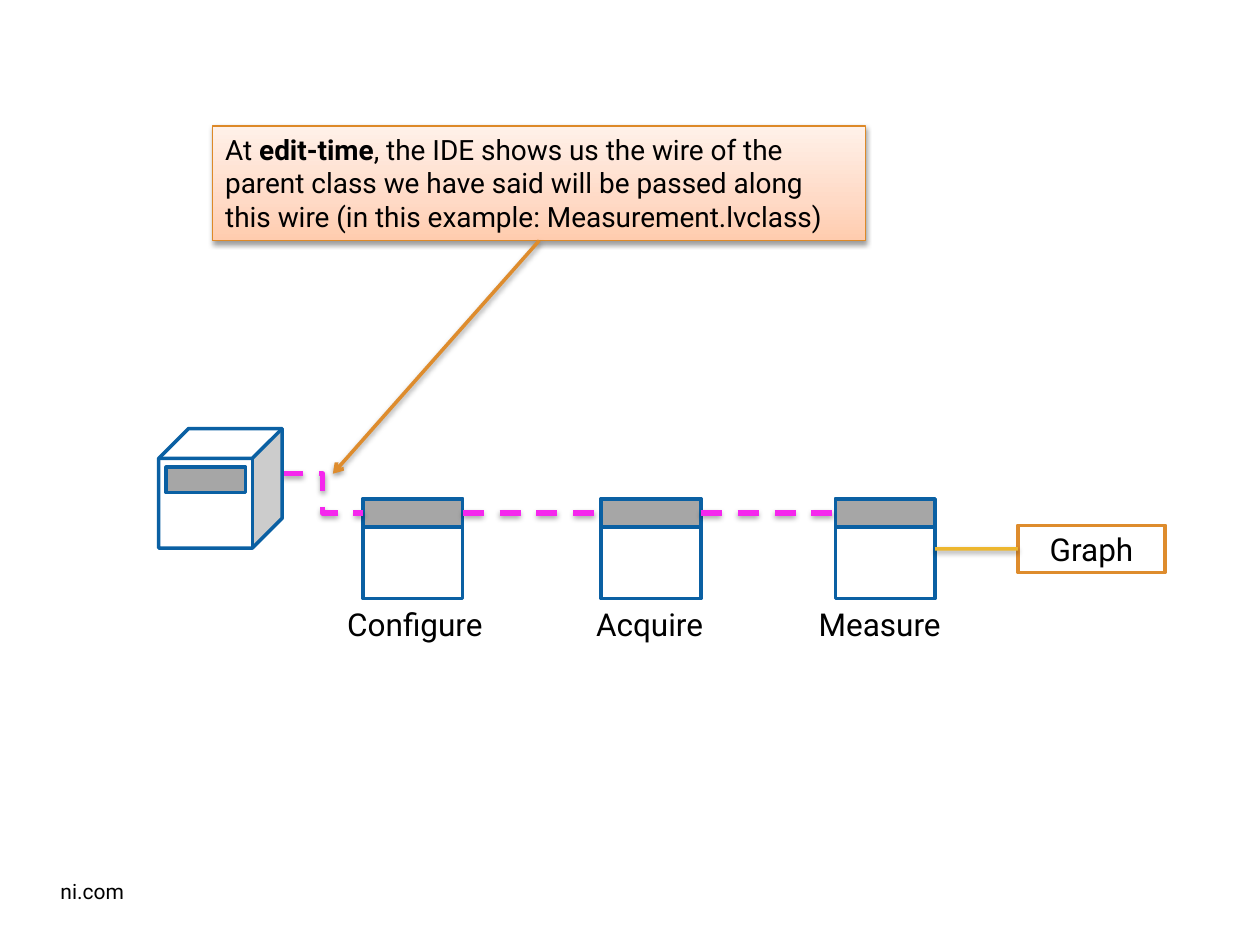
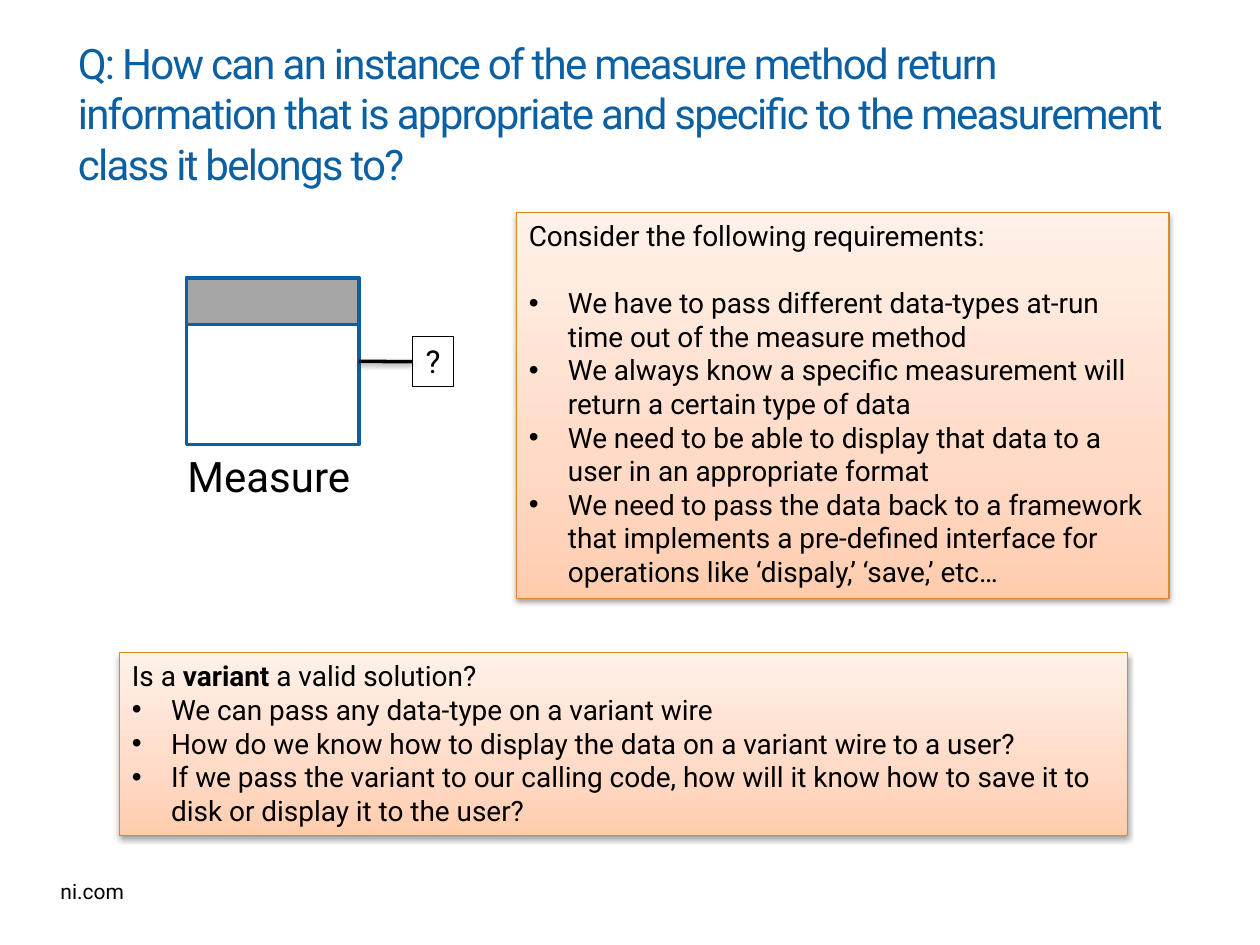
from pptx import Presentation
from pptx.dml.color import RGBColor
from pptx.enum.dml import MSO_LINE
from pptx.enum.shapes import MSO_CONNECTOR, MSO_SHAPE
from pptx.enum.text import MSO_ANCHOR, PP_ALIGN
from pptx.oxml import parse_xml
from pptx.oxml.ns import nsdecls, qn
from pptx.util import Cm, Pt

RECT, CUBE = MSO_SHAPE.RECTANGLE, MSO_SHAPE.CUBE
STRAIGHT, ELBOW = MSO_CONNECTOR.STRAIGHT, MSO_CONNECTOR.ELBOW
LEFT, CENTER = PP_ALIGN.LEFT, PP_ALIGN.CENTER
TOP, MIDDLE = MSO_ANCHOR.TOP, MSO_ANCHOR.MIDDLE
DASH = MSO_LINE.DASH
SIDE_BOTTOM, SIDE_LEFT, SIDE_RIGHT = 2, 1, 3

FONT = "Roboto"
BLACK, WHITE, GRAY = "000000", "FFFFFF", "A6A6A6"
BLUE, ORANGE, AMBER = "0A60A3", "DE8C2D", "DD8928"
PINK, GOLD = "F527ED", "EDB72E"
PEACH = ((0, "FFCCAE"), (35, "FFDAC6"), (100, "FFF1E9"))
HEAD_SHARE = 0.28


def rgb(code):
    return RGBColor.from_string(code)


def element(tag, inner="", **attrs):
    pairs = " ".join(f'{key}="{value}"' for key, value in attrs.items())
    return parse_xml(f'<a:{tag} {nsdecls("a")} {pairs}>{inner}</a:{tag}>')


def shade(shape):
    """Give a shape or connector the soft shadow used on both slides."""
    shape._element.spPr.append(element(
        "effectLst",
        '<a:outerShdw blurRad="40000" dist="20000" dir="5400000" rotWithShape="0">'
        f'<a:srgbClr val="{BLACK}"><a:alpha val="38000"/></a:srgbClr></a:outerShdw>'))


def write(para, text, size, color=BLACK, align=LEFT, spacing=0):
    """Fill a paragraph; parts between asterisks are bold."""
    para.alignment = align
    for i, part in enumerate(text.split("*")):
        run = para.add_run()
        run.text = part
        values = {"name": FONT, "size": Pt(size), "bold": i % 2 == 1}
        for key, value in values.items():
            setattr(run.font, key, value)
        run.font.color.rgb = rgb(color)
        if spacing:
            run._r.get_or_add_rPr().set("spc", str(spacing))


def frame(shape, wrap=True, anchor=TOP):
    for key, value in {"word_wrap": wrap, "vertical_anchor": anchor}.items():
        setattr(shape.text_frame, key, value)
    return shape.text_frame


def label(shapes, box, text, size, wrap=False, anchor=TOP, **style):
    area = shapes.add_textbox(*map(Cm, box))
    write(frame(area, wrap, anchor).paragraphs[0], text, size, **style)


def block(shapes, box, line, fill=None, width=2, kind=RECT):
    shape = shapes.add_shape(kind, *map(Cm, box))
    shape.shadow.inherit = False
    if fill:
        shape.fill.solid()
        shape.fill.fore_color.rgb = rgb(fill)
    else:
        shape.fill.background()
    shape.line.color.rgb = rgb(line)
    shape.line.width = Pt(width)
    return shape


def wire(slide, color, start=(0, 0), end=(0, 0), source=None, target=None,
         width=2, dash=None, kind=STRAIGHT, arrow=False):
    """Draw a line; source and target are (shape, side) pairs to join."""
    line = slide.shapes.add_connector(kind, *map(Cm, start + end))
    if source:
        line.begin_connect(*source)
    if target:
        line.end_connect(*target)
    line.line.color.rgb = rgb(color)
    line.line.width = Pt(width)
    if dash:
        line.line.dash_style = dash
    if arrow:
        line.line._get_or_add_ln().append(element("tailEnd", type="arrow"))
    shade(line)


def callout(slide, box, lead, points=(), gap=0):
    """Place a peach note with a lead line and bullet points."""
    note = block(slide.shapes, box, AMBER, WHITE, 0.75)
    note.fill.gradient()
    note.fill.gradient_angle = 90
    props = note._element.spPr
    stops = props.find(".//" + qn("a:gsLst"))
    for stop in list(stops):
        stops.remove(stop)
    for place, color in PEACH:
        stops.append(element("gs", f'<a:srgbClr val="{color}"/>', pos=place * 1000))
    props.remove(props.find(qn("a:effectLst")))
    shade(note)

    body = frame(note)
    write(body.paragraphs[0], lead, 16)
    body.paragraphs[0].space_after = Pt(gap)
    for point in points:
        para = body.add_paragraph()
        props = para._p.get_or_add_pPr()
        props.set("marL", str(Cm(0.79)))
        props.set("indent", str(-Cm(0.79)))
        props.append(element("buFont", typeface="Arial"))
        props.append(element("buChar", char="•"))
        write(para, point, 16)
    return note


def method(slide, box, name, size, span, shift):
    """Draw a method icon with its name below; return body and header."""
    left, top, width, height = box
    shapes = slide.shapes.add_group_shape().shapes
    body = block(shapes, box, BLUE, WHITE)
    head = block(shapes, (left, top, width, height * HEAD_SHARE), BLUE, GRAY)
    side = left + (width - span) / 2 + shift
    label(shapes, (side, top + height, span, size * 0.055), name, size, align=CENTER)
    return body, head


def cube(slide, box):
    left, top, width, height = box
    shapes = slide.shapes.add_group_shape().shapes
    block(shapes, box, BLUE, WHITE, kind=CUBE)
    block(shapes, (left + 0.15, top + 0.78, 1.6, 0.51), BLUE, GRAY)


def page(deck):
    slide = deck.slides.add_slide(deck.slide_layouts[6])
    label(slide.shapes, (0.97, 17.58, 1.8, 0.76), "ni.com", 12)
    return slide


def flow_slide(deck):
    slide = page(deck)
    steps = (("Configure", 7.32, 3.3, 0.04), ("Acquire", 12.12, 2.67, -0.03),
             ("Measure", 16.84, 3.05, -0.11))
    icons = [method(slide, (left, 10.06, 2.01, 2.01), name, 18, span, shift)
             for name, left, span, shift in steps]
    heads = [head for body, head in icons]
    for first, second in zip(heads, heads[1:]):
        wire(slide, PINK, source=(first, SIDE_RIGHT), target=(second, SIDE_LEFT),
             width=3, dash=DASH)
    wire(slide, PINK, (5.69, 9.55), (7.32, 10.34), width=3, dash=DASH, kind=ELBOW)

    graph = block(slide.shapes, (20.52, 10.59, 2.97, 0.95), ORANGE, WHITE)
    write(frame(graph, anchor=MIDDLE).paragraphs[0], "Graph", 18, align=CENTER)
    wire(slide, GOLD, source=(icons[-1][0], SIDE_RIGHT), target=(graph, SIDE_LEFT))
    cube(slide, (3.2, 8.64, 2.49, 2.41))
    note = callout(
        slide, (4.29, 2.54, 13.16, 2.31),
        "At *edit-time*, the IDE shows us the wire of the parent class we have said "
        "will be passed along this wire (in this example: Measurement.lvclass)")
    wire(slide, ORANGE, end=(6.71, 9.55), source=(note, SIDE_BOTTOM), arrow=True)


def question_slide(deck):
    slide = page(deck)
    label(slide.shapes, (1.32, 0.94, 22.68, 2.67),
          "Q: How can an instance of the measure method return information that is "
          "appropriate and specific to the measurement class it belongs to?",
          24, wrap=True, anchor=MIDDLE, color=BLUE, spacing=-100)
    body, head = method(slide, (3.76, 5.61, 3.48, 3.35), "Measure", 24, 3.89, -0.08)
    callout(slide, (10.41, 4.29, 13.16, 7.77), "Consider the following requirements:", (
        "We have to pass different data-types at-run time out of the measure method",
        "We always know a specific measurement will return a certain type of data",
        "We need to be able to display that data to a user in an appropriate format",
        "We need to pass the data back to a framework that implements a pre-defined "
        "interface for operations like ‘dispaly,’ ‘save,’ etc…"), gap=19)
    callout(slide, (2.41, 13.16, 20.32, 3.68), "Is a *variant* a valid solution?", (
        "We can pass any data-type on a variant wire",
        "How do we know how to display the data on a variant wire to a user?",
        "If we pass the variant to our calling code, how will it know how to save it "
        "to disk or display it to the user?"))
    result = block(slide.shapes, (8.31, 6.78, 0.84, 1.02), BLACK, width=0.75)
    write(frame(result, wrap=False).paragraphs[0], "?", 18, align=CENTER)
    wire(slide, BLACK, source=(body, SIDE_RIGHT), target=(result, SIDE_LEFT))


def main():
    deck = Presentation()
    deck.slide_width, deck.slide_height = Cm(25.4), Cm(19.05)
    flow_slide(deck)
    question_slide(deck)
    deck.save("out.pptx")


if __name__ == "__main__":
    main()
